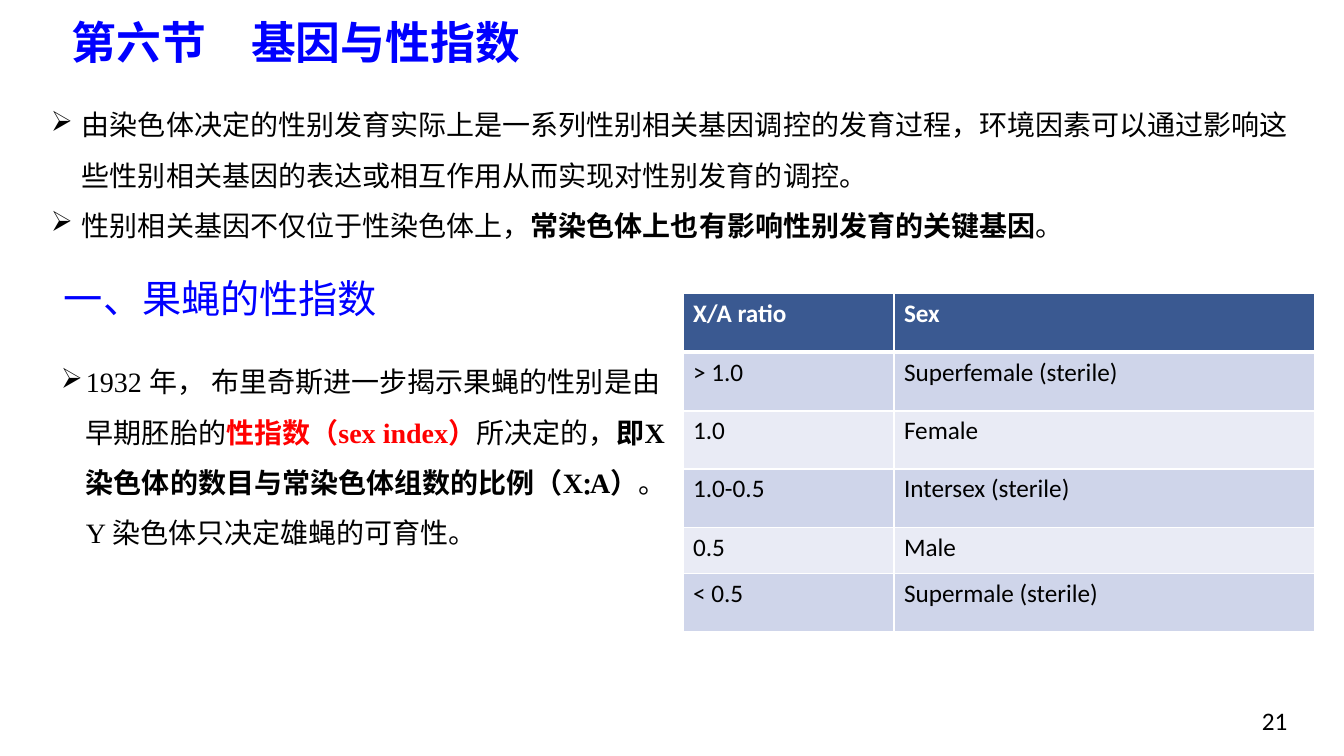
"""Build the slide on genes and the sex index."""
import pptx
import pptx.util
import pptx.dml.color
import pptx.enum.text
import pptx.oxml
import pptx.oxml.ns

SCALE = 914400 / 100.8
CJK = "Noto Sans CJK SC"
SERIF = "Times New Roman"
SANS = "Calibri"
BLACK, BLUE, RED, WHITE = "000000", "0000FF", "FF0000", "FFFFFF"
HEADER, BAND_DARK, BAND_LIGHT = "3A5991", "CFD5EA", "E9EBF5"

HEADINGS = [
    ((62, 15, 671, 60), "第六节　基因与性指数", 32, True),
    ((54, 261, 1159, 80), "一、果蝇的性指数", 28, False),
]
BODIES = [
    ((41, 86, 1266, 157), 31, 31, [
        [("由染色体决定的性别发育实际上是一系列性别相关基因调控的发育过程，"
          "环境因素可以通过影响这些性别相关基因的表达或相互作用从而实现对性别发育的调控。", BLACK, False)],
        [("性别相关基因不仅位于性染色体上，", BLACK, False),
         ("常染色体上也有影响性别发育的关键基因", BLACK, True),
         ("。", BLACK, False)],
    ]),
    ((0, 343, 692, 235), 76, 25, [
        [("1932 年， 布里奇斯进一步揭示果蝇的性别是由早期胚胎的", BLACK, False),
         ("性指数（sex index）", RED, True),
         ("所决定的，", BLACK, False),
         ("即X 染色体的数目与常染色体组数的比例（X∶A）", BLACK, True),
         ("。Y 染色体只决定雄蝇的可育性。", BLACK, False)],
    ]),
]
PAGE_NUMBER = ((1252, 700, 64, 40), "21")
TABLE_AT = (683, 293)
COLUMNS = [211, 421]
ROW_HEIGHTS = [59, 59, 58, 59, 46, 58]
ROWS = [
    ("X/A ratio", "Sex"),
    ("> 1.0", "Superfemale (sterile)"),
    ("1.0", "Female"),
    ("1.0-0.5", "Intersex (sterile)"),
    ("0.5", "Male"),
    ("< 0.5", "Supermale (sterile)"),
]


def px(length):
    return pptx.util.Emu(round(length * SCALE))


def color(value):
    return pptx.dml.color.RGBColor.from_string(value)


def element(xml):
    namespace = pptx.oxml.ns.nsdecls("a")
    return pptx.oxml.parse_xml(xml.replace("/>", f" {namespace}/>", 1)
                               if xml.endswith("/>") and xml.count("<") == 1
                               else xml.replace(">", f" {namespace}>", 1))


def add_span(para, text, font, size, ink, bold=False):
    span = para.add_run()
    span.text = text
    span.font.name = font
    span.font.size = pptx.util.Pt(size)
    span.font.bold = bold
    span.font.color.rgb = color(ink)
    span.font._element.append(element(f'<a:ea typeface="{CJK}"/>'))


def add_box(page, place, anchor=pptx.enum.text.MSO_ANCHOR.TOP):
    frame = page.shapes.add_textbox(*map(px, place)).text_frame
    frame.word_wrap = True
    frame.vertical_anchor = anchor
    return frame


def add_heading(page, place, text, size, bold):
    para = add_box(page, place, pptx.enum.text.MSO_ANCHOR.MIDDLE).paragraphs[0]
    para.line_spacing = 0.9
    add_span(para, text, CJK, size, BLUE, bold)


def add_body(page, place, margin, hanging, paragraphs):
    frame = add_box(page, place)
    for index, spans in enumerate(paragraphs):
        para = frame.add_paragraph() if index else frame.paragraphs[0]
        properties = para._p.get_or_add_pPr()
        properties.set("marL", str(px(margin)))
        properties.set("indent", str(px(-hanging)))
        properties.append(element('<a:buChar char="➢"/>'))
        para.line_spacing = 1.5
        for text, ink, bold in spans:
            add_span(para, text, SERIF, 20, ink, bold)


def set_borders(cell, row):
    widths = {"lnL": 1, "lnR": 1, "lnT": 3 if row == 1 else 1, "lnB": 3 if row == 0 else 1}
    properties = cell._tc.get_or_add_tcPr()
    for index, (side, width) in enumerate(widths.items()):
        properties.insert(index, element(
            f'<a:{side} w="{pptx.util.Pt(width)}"><a:solidFill>'
            f'<a:srgbClr val="{WHITE}"/></a:solidFill></a:{side}>'))


def add_ratio_table(page):
    size = (sum(COLUMNS), sum(ROW_HEIGHTS))
    table = page.shapes.add_table(len(ROWS), len(COLUMNS), *map(px, TABLE_AT + size)).table
    for column, width in zip(table.columns, COLUMNS):
        column.width = px(width)
    for row, texts in enumerate(ROWS):
        table.rows[row].height = px(ROW_HEIGHTS[row])
        band = HEADER if row == 0 else BAND_DARK if row % 2 else BAND_LIGHT
        for column, text in enumerate(texts):
            cell = table.cell(row, column)
            cell.fill.solid()
            cell.fill.fore_color.rgb = color(band)
            set_borders(cell, row)
            add_span(cell.text_frame.paragraphs[0], text, SANS, 18,
                     BLACK if row else WHITE, row == 0)


def main():
    deck = pptx.Presentation()
    deck.slide_width, deck.slide_height = px(1344), px(756)
    page = deck.slides.add_slide(deck.slide_layouts[6])
    for heading in HEADINGS:
        add_heading(page, *heading)
    for body in BODIES:
        add_body(page, *body)
    place, number = PAGE_NUMBER
    add_span(add_box(page, place).paragraphs[0], number, SANS, 18, BLACK)
    add_ratio_table(page)
    deck.save("out.pptx")


if __name__ == "__main__":
    main()
